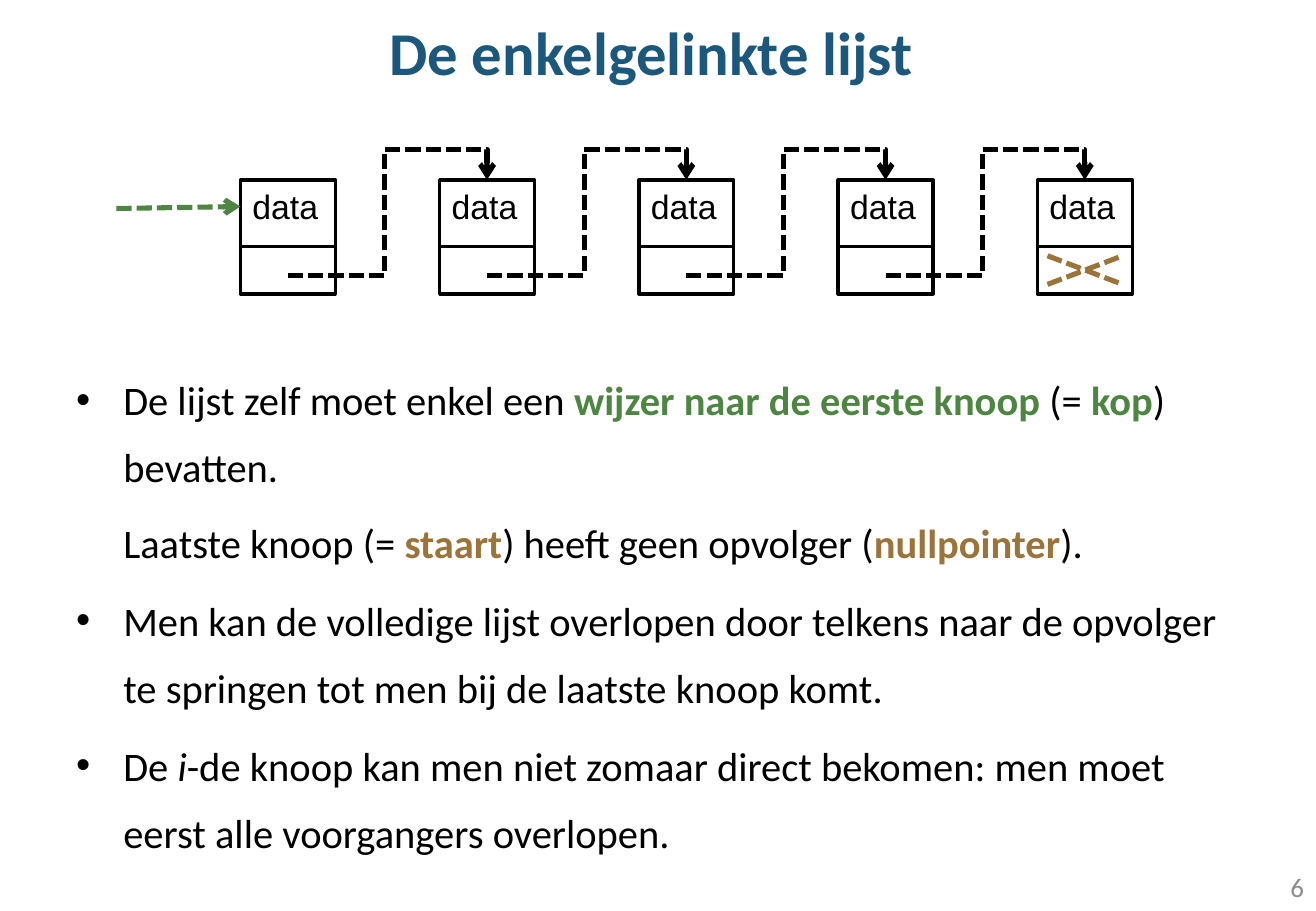
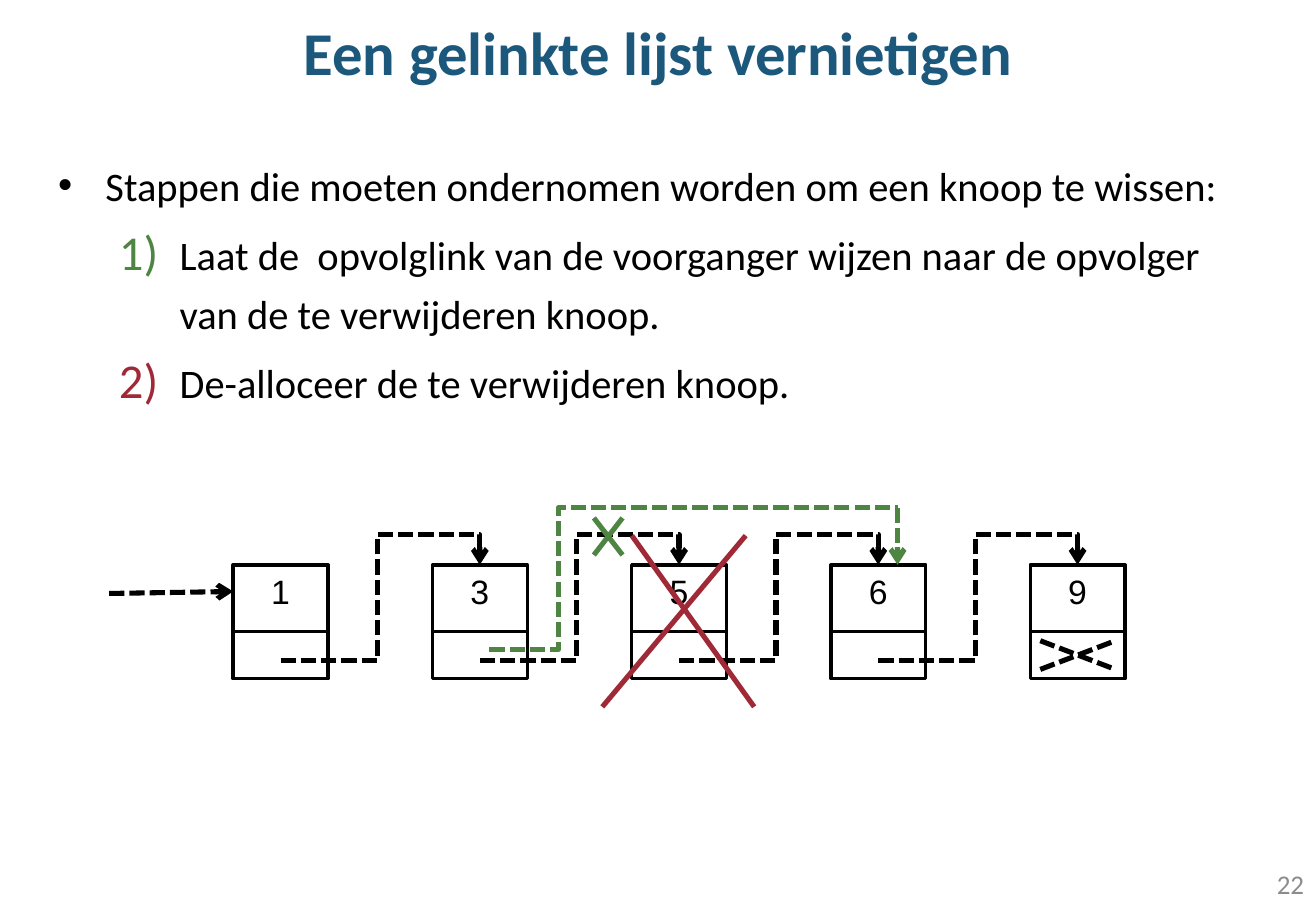
from lxml import etree
from pptx import Presentation
from pptx.dml.color import RGBColor
from pptx.enum.dml import MSO_LINE
from pptx.enum.shapes import MSO_CONNECTOR, MSO_SHAPE
from pptx.enum.text import MSO_ANCHOR, PP_ALIGN
from pptx.oxml.ns import qn
from pptx.util import Pt

BLACK = RGBColor(0x00, 0x00, 0x00)
BLUE = RGBColor(0x1B, 0x58, 0x7C)
GREEN = RGBColor(0x4E, 0x85, 0x42)
BROWN = RGBColor(0x9A, 0x74, 0x3A)
RED = RGBColor(0x9F, 0x29, 0x36)
GRAY = RGBColor(0x8C, 0x8C, 0x8C)
STRAIGHT, ELBOW = MSO_CONNECTOR.STRAIGHT, MSO_CONNECTOR.ELBOW
SYS_DASH = MSO_LINE.SQUARE_DOT
RECTANGLE = MSO_SHAPE.RECTANGLE
MIDDLE = MSO_ANCHOR.MIDDLE
LEFT, CENTER, RIGHT = PP_ALIGN.LEFT, PP_ALIGN.CENTER, PP_ALIGN.RIGHT
TOP_SIDE, LEFT_SIDE = 0, 1
PAGE_WIDTH, PAGE_HEIGHT = 780, 540
NODE_WIDTH, NODE_PITCH = 56.2, 118.1
DATA_HEIGHT, NEXT_HEIGHT, LABEL_HEIGHT = 39.6, 28, 31.6


class ListDeck:
    """Builds slides about linked lists in one shared style."""

    def __init__(self):
        self.deck = Presentation()
        self.deck.slide_width, self.deck.slide_height = Pt(PAGE_WIDTH), Pt(PAGE_HEIGHT)
        self.page = None

    def add_page(self, title, number, number_top):
        self.page = self.deck.slides.add_slide(self.deck.slide_layouts[5])
        box = self.page.shapes.title
        box.left, box.top, box.width, box.height = Pt(0), Pt(0), Pt(PAGE_WIDTH), Pt(60.5)
        box.text_frame.vertical_anchor = MIDDLE
        para = box.text_frame.paragraphs[0]
        para.alignment = CENTER
        self.add_span(para, title, 36, BLUE, bold=True)
        self.add_text(598, number_top, 182, 29, number, 16, GRAY, RIGHT, "Calibri", MIDDLE)

    def add_span(self, para, text, size, color, name="Calibri", bold=False, italic=False):
        span = para.add_run()
        span.text = text
        font = span.font
        font.size, font.name, font.bold, font.italic = Pt(size), name, bold, italic
        font.color.rgb = color

    def add_frame(self, left, top, width, height):
        box = self.page.shapes.add_textbox(Pt(left), Pt(top), Pt(width), Pt(height))
        box.text_frame.word_wrap = True
        return box

    def add_text(self, left, top, width, height, text, size, color, align, name, anchor=None):
        box = self.add_frame(left, top, width, height)
        box.text_frame.vertical_anchor = anchor
        para = box.text_frame.paragraphs[0]
        para.alignment = align
        self.add_span(para, text, size, color, name)
        return box

    def add_body(self, left, top, width, height, spacing, items):
        frame = self.add_frame(left, top, width, height).text_frame
        for index, (kind, space, spans) in enumerate(items):
            para = frame.add_paragraph() if index else frame.paragraphs[0]
            para.line_spacing = Pt(spacing)
            para.space_before = Pt(space)
            self.set_bullet(para, kind)
            for text, color, bold, italic in spans:
                self.add_span(para, text, 24, color, bold=bold, italic=italic)

    def set_bullet(self, para, kind):
        numbered = isinstance(kind, RGBColor)
        margin, indent = (72, -36) if numbered else (28, -28 if kind else 0)
        properties = para._p.get_or_add_pPr()
        properties.set("marL", str(Pt(margin)))
        properties.set("indent", str(Pt(indent)))
        if numbered:
            para.level = 1
            color = etree.SubElement(properties, qn("a:buClr"))
            etree.SubElement(color, qn("a:srgbClr"), val=str(kind))
            etree.SubElement(properties, qn("a:buSzPct"), val="120000")
            etree.SubElement(properties, qn("a:buFont"), typeface="+mj-lt")
            etree.SubElement(properties, qn("a:buAutoNum"), type="arabicParenR")
        elif kind:
            etree.SubElement(properties, qn("a:buFont"), typeface="Arial")
            etree.SubElement(properties, qn("a:buChar"), char=kind)
        else:
            etree.SubElement(properties, qn("a:buNone"))

    def add_cell(self, left, top, height):
        cell = self.page.shapes.add_shape(RECTANGLE, Pt(left), Pt(top), Pt(NODE_WIDTH), Pt(height))
        cell.shadow.inherit = False
        cell.fill.background()
        cell.line.color.rgb = BLACK
        cell.line.width = Pt(2)
        return cell

    def add_line(self, begin, end, color, dashed=True, arrow=False, bends=(), target=None, side=None):
        points = [Pt(value) for value in (*begin, *end)]
        line = self.page.shapes.add_connector(ELBOW if bends else STRAIGHT, *points)
        if target is not None:
            line.end_connect(target, side)
        line.line.color.rgb = color
        line.line.width = Pt(3)
        if dashed:
            line.line.dash_style = SYS_DASH
        properties = line._element.spPr
        if arrow:
            etree.SubElement(properties.find(qn("a:ln")), qn("a:tailEnd"), type="arrow")
        etree.SubElement(properties, qn("a:effectLst"))
        if bends:
            geometry = properties.find(qn("a:prstGeom"))
            geometry.set("prst", f"bentConnector{len(bends) + 2}")
            guides = geometry.find(qn("a:avLst"))
            for index, bend in enumerate(bends, 1):
                etree.SubElement(guides, qn("a:gd"), name=f"adj{index}" if len(bends) > 1 else "adj1",
                                 fmla=f"val {round(bend * 100000)}")

    def add_cross(self, left, top, right, bottom, color, dashed=False):
        self.add_line((left, bottom), (right, top), color, dashed)
        self.add_line((left, top), (right, bottom), color, dashed)

    def add_list(self, left, top, values, align, head_color, null_color):
        lefts = [left + index * NODE_PITCH for index in range(len(values))]
        cells, labels = [], []
        for node_left, value in zip(lefts, values):
            cells.append(self.add_cell(node_left, top, DATA_HEIGHT))
            labels.append(self.add_text(node_left, top, NODE_WIDTH, LABEL_HEIGHT,
                                        value, 20, BLACK, align, "Arial"))
            self.add_cell(node_left, top + DATA_HEIGHT, NEXT_HEIGHT)
        centers = [node_left + NODE_WIDTH / 2 for node_left in lefts]
        for begin, end, cell in zip(centers, centers[1:], cells[1:]):
            self.add_line((begin, top + 56.5), (end, top), BLACK, arrow=True,
                          bends=(0.487, 1.32), target=cell, side=TOP_SIDE)
        self.add_line((left - 73.5, top + 17), (left, top + LABEL_HEIGHT / 2), head_color,
                      arrow=True, target=labels[0], side=LEFT_SIDE)
        self.add_cross(lefts[-1] + 6, top + 45, lefts[-1] + 50.5, top + 62, null_color, dashed=True)


def plain(text):
    return text, BLACK, False, False


def strong(text, color):
    return text, color, True, False


def main():
    lists = ListDeck()

    lists.add_page("De enkelgelinkte lijst ", "6", 511)
    lists.add_body(38, 207.5, 713, 304, 40, [
        ("•", 0, [plain("De lijst zelf moet enkel een "),
                  strong("wijzer naar de eerste knoop ", GREEN),
                  plain("(= "), strong("kop", GREEN), plain(") bevatten.")]),
        (None, 4.8, [plain("Laatste knoop (= "), strong("staart", BROWN),
                     plain(") heeft geen opvolger ("), strong("nullpointer", BROWN), plain(").")]),
        ("•", 6, [plain("Men kan de volledige lijst overlopen door telkens naar de opvolger "
                        "te springen tot men bij de laatste knoop komt.")]),
        ("•", 6, [plain("De "), ("i", BLACK, False, True),
                  plain("-de knoop kan men niet zomaar direct bekomen: "
                        "men moet eerst alle voorgangers overlopen.")]),
    ])
    lists.add_list(142.5, 106.6, ["data"] * 5, LEFT, GREEN, BROWN)

    lists.add_page("Een gelinkte lijst vernietigen", "22", 509.5)
    lists.add_body(27.4, 85.5, 724, 390, 35, [
        ("•", 0, [plain("Stappen die moeten ondernomen worden om een knoop te wissen:")]),
        (GREEN, 6, [plain("Laat de  opvolglink van de voorganger wijzen naar de opvolger "
                          "van de te verwijderen knoop.")]),
        (RED, 6, [plain("De-alloceer de te verwijderen knoop.")]),
    ])
    list_top, bypass_top, bypass_right = 334.8, 301, 532
    lists.add_list(138.2, list_top, ["1", "3", "5", "6", "9"], CENTER, BLACK, BLACK)
    lists.add_line((290, 385), (bypass_right, bypass_top), GREEN, bends=(0.169,))
    lists.add_line((bypass_right, bypass_top), (bypass_right, list_top), GREEN, arrow=True)
    lists.add_cross(352, 307, 369, 329, GREEN)
    lists.add_line((442, 317.5), (357, 419), RED, dashed=False)
    lists.add_line((374.5, 317.5), (447, 419), RED, dashed=False)

    lists.deck.save("out.pptx")


if __name__ == "__main__":
    main()
